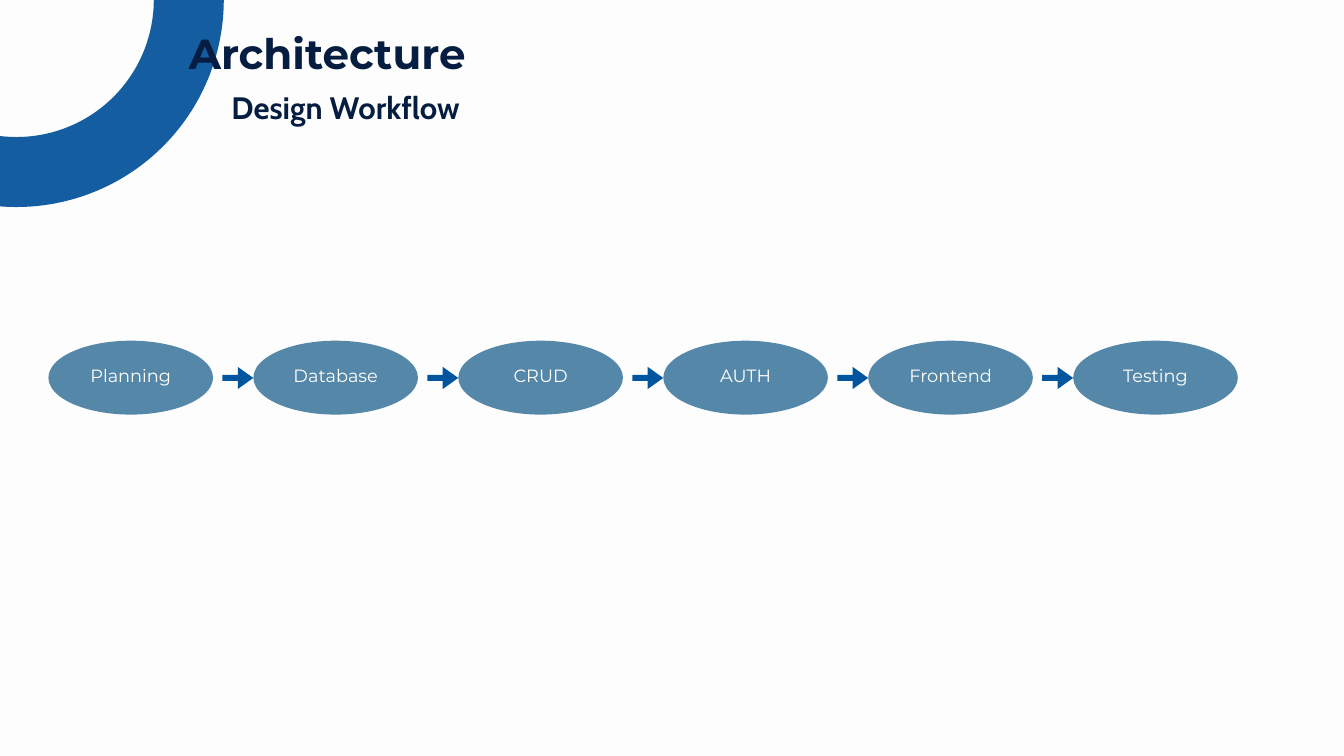
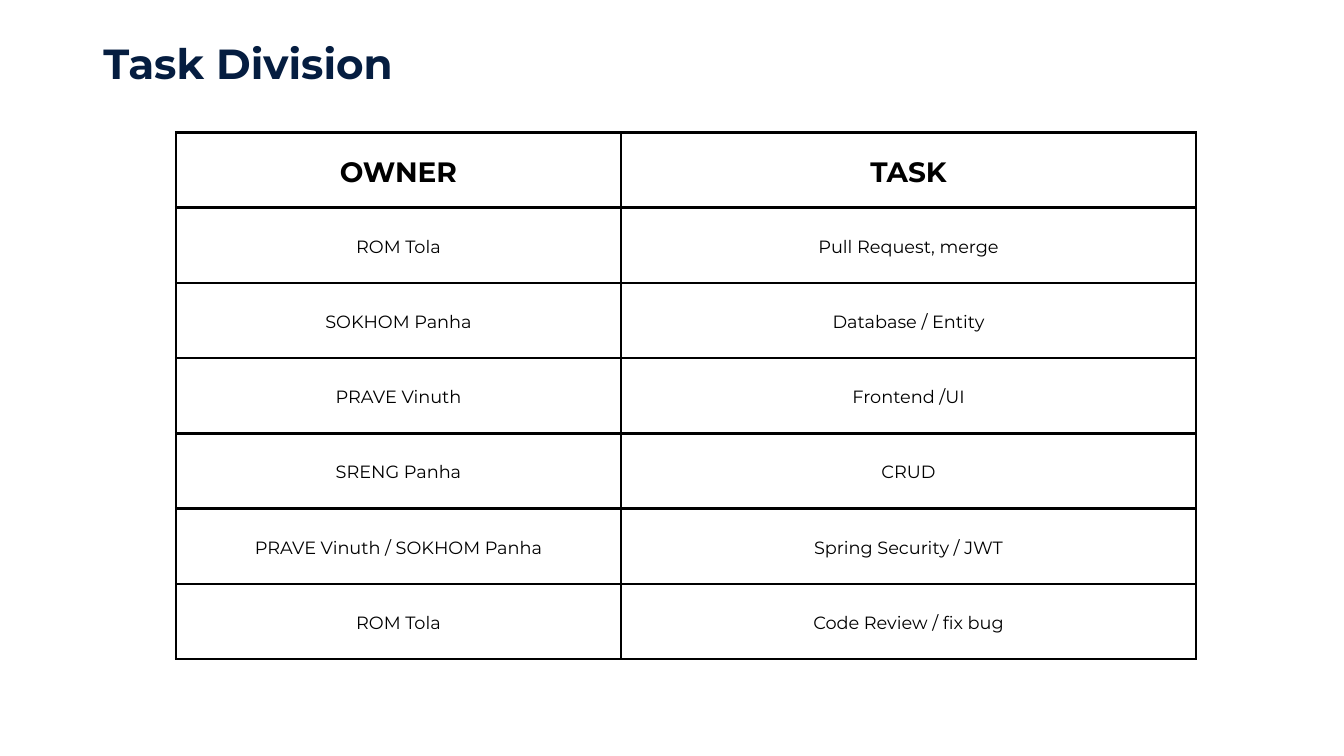
from dataclasses import dataclass

from lxml.etree import SubElement
from pptx import Presentation
from pptx.dml.color import RGBColor
from pptx.enum.shapes import MSO_SHAPE
from pptx.enum.text import MSO_ANCHOR, PP_ALIGN
from pptx.oxml.ns import qn
from pptx.shapes.autoshape import Shape
from pptx.slide import Slide
from pptx.table import _Cell as Cell
from pptx.text.text import TextFrame
from pptx.util import Inches, Pt

NAVY = RGBColor(0x05, 0x1D, 0x40)
RING_BLUE = RGBColor(0x14, 0x5D, 0xA0)
STEP_BLUE = RGBColor(0x54, 0x87, 0xA8)
ARROW_BLUE = RGBColor(0x00, 0x56, 0x9E)
BLACK = RGBColor(0x00, 0x00, 0x00)
WHITE = RGBColor(0xFF, 0xFF, 0xFF)
OFF_WHITE = RGBColor(0xFD, 0xFD, 0xFD)


@dataclass(frozen=True)
class TextStyle:
    """Font, line spacing and alignment of one kind of text."""

    size: float
    line: float
    color: RGBColor
    font: str = "Montserrat"
    bold: bool = False
    align: PP_ALIGN = PP_ALIGN.CENTER


@dataclass(frozen=True)
class Box:
    """Position and size in inches."""

    left: float
    top: float
    width: float
    height: float

    def lengths(self) -> tuple[Inches, Inches, Inches, Inches]:
        """Return the box as lengths for the add methods."""
        return Inches(self.left), Inches(self.top), Inches(self.width), Inches(self.height)


TITLE = TextStyle(45, 63, NAVY, bold=True, align=PP_ALIGN.LEFT)
SUBTITLE = TextStyle(33.2, 46.4, NAVY, font="Cabin", bold=True)
STEP = TextStyle(19, 26.6, WHITE)
HEADER = TextStyle(30, 42, BLACK, bold=True)
BODY = TextStyle(19, 26.6, BLACK)

STEPS = ["Planning", "Database", "CRUD", "AUTH", "Frontend", "Testing"]
STEP_LEFT, STEP_PITCH, ARROW_OFFSET = 0.72, 3.05, 2.59

TASKS = [
    ("OWNER", "TASK"),
    ("ROM Tola", "Pull Request, merge"),
    ("SOKHOM Panha", "Database / Entity"),
    ("PRAVE Vinuth", "Frontend /UI"),
    ("SRENG Panha", "CRUD"),
    ("PRAVE Vinuth / SOKHOM Panha", "Spring Security / JWT"),
    ("ROM Tola", "Code Review / fix bug"),
]
COLUMN_WIDTHS = (6.62, 8.56)
ROW_HEIGHT = 1.12


def write(frame: TextFrame, text: str, style: TextStyle) -> None:
    """Put one styled paragraph into a text frame."""
    frame.text = text
    frame.word_wrap = True
    paragraph = frame.paragraphs[0]
    paragraph.alignment = style.align
    paragraph.line_spacing = Pt(style.line)
    font = paragraph.runs[0].font
    font.name, font.size, font.bold = style.font, Pt(style.size), style.bold
    font.color.rgb = style.color


def set_margins(target: TextFrame | Cell, side: float, top: float, bottom: float) -> None:
    """Set the inner margins of a text frame or cell."""
    target.margin_left = target.margin_right = Inches(side)
    target.margin_top, target.margin_bottom = Inches(top), Inches(bottom)


def add_text(slide: Slide, box: Box, text: str, style: TextStyle) -> None:
    """Add a text box without margins."""
    frame = slide.shapes.add_textbox(*box.lengths()).text_frame
    set_margins(frame, 0, 0, 0)
    write(frame, text, style)


def add_filled(slide: Slide, kind: MSO_SHAPE, box: Box, color: RGBColor) -> Shape:
    """Add a flat shape without outline."""
    shape = slide.shapes.add_shape(kind, *box.lengths())
    shape.shadow.inherit = False
    shape.fill.solid()
    shape.fill.fore_color.rgb = color
    shape.line.fill.background()
    return shape


def add_slide(presentation: Presentation, background: RGBColor) -> Slide:
    """Add a blank slide with a plain background."""
    slide = presentation.slides.add_slide(presentation.slide_layouts[6])
    slide.background.fill.solid()
    slide.background.fill.fore_color.rgb = background
    return slide


def add_ring(slide: Slide) -> None:
    """Add the corner ring."""
    ring = slide.shapes.add_shape(MSO_SHAPE.OVAL, *Box(-2.32, -2.57, 5.13, 5.13).lengths())
    ring.shadow.inherit = False
    ring.fill.background()
    ring.line.color.rgb = RING_BLUE
    ring.line.width = Pt(75)


def add_step(slide: Slide, left: float, label: str) -> None:
    """Add one labelled workflow step."""
    oval = add_filled(slide, MSO_SHAPE.OVAL, Box(left, 5.07, 2.45, 1.1), STEP_BLUE)
    set_margins(oval.text_frame, 0.06, 0, 0.12)
    oval.text_frame.vertical_anchor = MSO_ANCHOR.MIDDLE
    write(oval.text_frame, label, STEP)


def add_step_arrow(slide: Slide, left: float) -> None:
    """Add the arrow that leads to the next step."""
    arrow = add_filled(slide, MSO_SHAPE.RIGHT_ARROW, Box(left, 5.46, 0.46, 0.33), ARROW_BLUE)
    arrow.adjustments[0] = 0.27
    arrow.adjustments[1] = 0.7


def add_borders(cell: Cell) -> None:
    """Draw black lines on all four sides of a cell."""
    properties = cell._tc.get_or_add_tcPr()
    for side in ("a:lnL", "a:lnR", "a:lnT", "a:lnB"):
        line = SubElement(properties, qn(side), w=str(Pt(3)))
        fill = SubElement(line, qn("a:solidFill"))
        SubElement(fill, qn("a:srgbClr"), val=str(BLACK))


def add_task_table(slide: Slide) -> None:
    """Add the table of owners and tasks."""
    box = Box(2.62, 1.97, sum(COLUMN_WIDTHS), ROW_HEIGHT * len(TASKS))
    table = slide.shapes.add_table(len(TASKS), len(COLUMN_WIDTHS), *box.lengths()).table
    table.first_row = table.horz_banding = False
    for column, width in zip(table.columns, COLUMN_WIDTHS):
        column.width = Inches(width)
    for row_index, texts in enumerate(TASKS):
        table.rows[row_index].height = Inches(ROW_HEIGHT)
        for column_index, text in enumerate(texts):
            cell = table.cell(row_index, column_index)
            add_borders(cell)
            cell.fill.background()
            cell.vertical_anchor = MSO_ANCHOR.MIDDLE
            set_margins(cell, 0.21, 0.21, 0.21)
            write(cell.text_frame, text, BODY if row_index else HEADER)


def build_architecture(presentation: Presentation) -> None:
    """Build the design workflow slide."""
    slide = add_slide(presentation, OFF_WHITE)
    add_ring(slide)
    add_text(slide, Box(2.81, 0.28, 7.89, 0.84), "Architecture", TITLE)
    add_text(slide, Box(3.26, 1.22, 3.77, 0.63), "Design Workflow", SUBTITLE)
    for index, label in enumerate(STEPS):
        left = STEP_LEFT + index * STEP_PITCH
        add_step(slide, left, label)
        if index < len(STEPS) - 1:
            add_step_arrow(slide, left + ARROW_OFFSET)


def build_task_division(presentation: Presentation) -> None:
    """Build the task division slide."""
    slide = add_slide(presentation, WHITE)
    add_task_table(slide)
    add_text(slide, Box(1.54, 0.44, 8.66, 0.84), "Task Division", TITLE)


def main() -> None:
    """Build and save the presentation."""
    presentation = Presentation()
    presentation.slide_width = Inches(20)
    presentation.slide_height = Inches(11.25)
    build_architecture(presentation)
    build_task_division(presentation)
    presentation.save("out.pptx")


if __name__ == "__main__":
    main()
